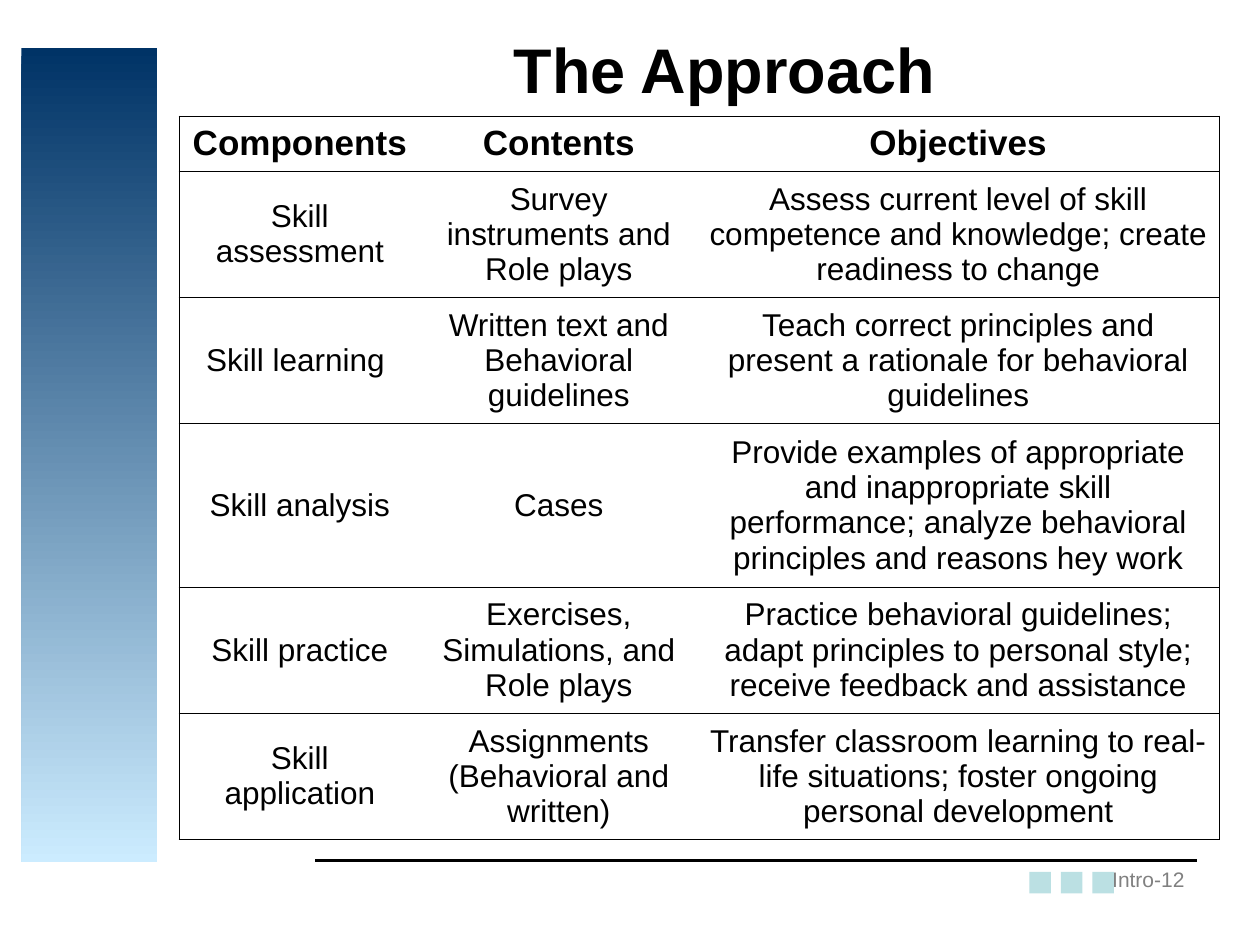
from pptx import Presentation
from pptx.dml.color import RGBColor as RGB
from pptx.enum.shapes import MSO_CONNECTOR as Link, MSO_SHAPE as Shape
from pptx.enum.text import MSO_ANCHOR as Anchor, PP_ALIGN as Align
from pptx.util import Inches, Pt
from lxml.etree import SubElement as Sub
from pptx.oxml.ns import qn

TITLE = "The Approach"
FOOTER = "Intro-12"
ROWS = [
    ("Components", "Contents", "Objectives"),
    ("Skill assessment", "Survey instruments and Role plays",
     "Assess current level of skill competence and knowledge; create readiness to change"),
    ("Skill learning ", "Written text and Behavioral guidelines",
     "Teach correct principles and present a rationale for behavioral guidelines"),
    ("Skill analysis", "Cases",
     "Provide examples of appropriate and inappropriate skill performance; "
     "analyze behavioral principles and reasons hey work"),
    ("Skill practice", "Exercises, Simulations, and Role plays",
     "Practice behavioral guidelines; adapt principles to personal style; "
     "receive feedback and assistance"),
    ("Skill application", "Assignments (Behavioral and written)",
     "Transfer classroom learning to real-life situations; foster ongoing personal development"),
]
WIDTHS = [1.92, 2.19, 4.15]
HEIGHTS = [0.44, 1, 1, 1.3, 1, 1]
RIGHT, BASE = 9.5, 6.83
SIDE, STEP = 0.17, 0.25
BLACK, GRAY, TEAL = "000000", "808080", "BBE0E3"
FADE = ["003366", "CCECFF"]


def color(code):
    return RGB.from_string(code)


def style(frame, size, align, code=BLACK, bold=False):
    frame.word_wrap = True
    para = frame.paragraphs[0]
    para.alignment = align
    for run in para.runs:
        font = run.font
        font.name, font.size, font.bold = "Arial", Pt(size), bold
        font.color.rgb = color(code)


def label(text, box, anchor, *look):
    frame = slide.shapes.add_textbox(*map(Inches, box)).text_frame
    frame.text = text
    frame.vertical_anchor = anchor
    style(frame, *look)


def block(*box):
    shape = slide.shapes.add_shape(Shape.RECTANGLE, *map(Inches, box))
    shape.shadow.inherit = False
    shape.line.fill.background()
    return shape


def border(cell, sides):
    props = cell._tc.get_or_add_tcPr()
    for side in "LRTB":
        line = Sub(props, qn("a:ln" + side), w=str(Pt(0.45)))
        if side in sides:
            fill = Sub(line, qn("a:solidFill"))
            Sub(fill, qn("a:srgbClr"), val=BLACK)
        else:
            Sub(line, qn("a:noFill"))


deck = Presentation()
deck.slide_width, deck.slide_height = Inches(10), Inches(7.5)
slide = deck.slides.add_slide(deck.slide_layouts[6])

label(FOOTER, (7.17, BASE, RIGHT - 7.17, 0.52), Anchor.TOP, 12, Align.RIGHT, GRAY)

band = block(0.17, 0.38, 1.08, 6.46)
band.fill.gradient()
band.fill.gradient_angle = 270
for stop, code in zip(band.fill.gradient_stops, FADE):
    stop.color.rgb = color(code)

label(TITLE, (2, 0, RIGHT - 2, 1.08), Anchor.MIDDLE, 36, Align.CENTER, BLACK, True)

table = slide.shapes.add_table(
    len(ROWS), len(WIDTHS), Inches(1.42), Inches(0.92),
    Inches(sum(WIDTHS)), Inches(sum(HEIGHTS))).table
table.first_row = table.horz_banding = False
for col, width in zip(table.columns, WIDTHS):
    col.width = Inches(width)
for r, (texts, height) in enumerate(zip(ROWS, HEIGHTS)):
    table.rows[r].height = Inches(height)
    for c, text in enumerate(texts):
        cell = table.cell(r, c)
        cell.text = text
        cell.vertical_anchor = Anchor.MIDDLE
        border(cell, "TB" + {0: "L", len(WIDTHS) - 1: "R"}.get(c, ""))
        cell.fill.background()
        style(cell.text_frame, 18 if r else 20, Align.CENTER, BLACK, r == 0)

rule = slide.shapes.add_connector(
    Link.STRAIGHT, Inches(2.5), Inches(BASE), Inches(RIGHT), Inches(BASE))
rule.line.color.rgb = color(BLACK)
rule.line.width = Pt(2)
Sub(rule._element.spPr, qn("a:effectLst"))

for i in range(3):
    dot = block(8.17 + i * STEP, 6.92, SIDE, SIDE)
    dot.fill.solid()
    dot.fill.fore_color.rgb = color(TEAL)

deck.save("out.pptx")
